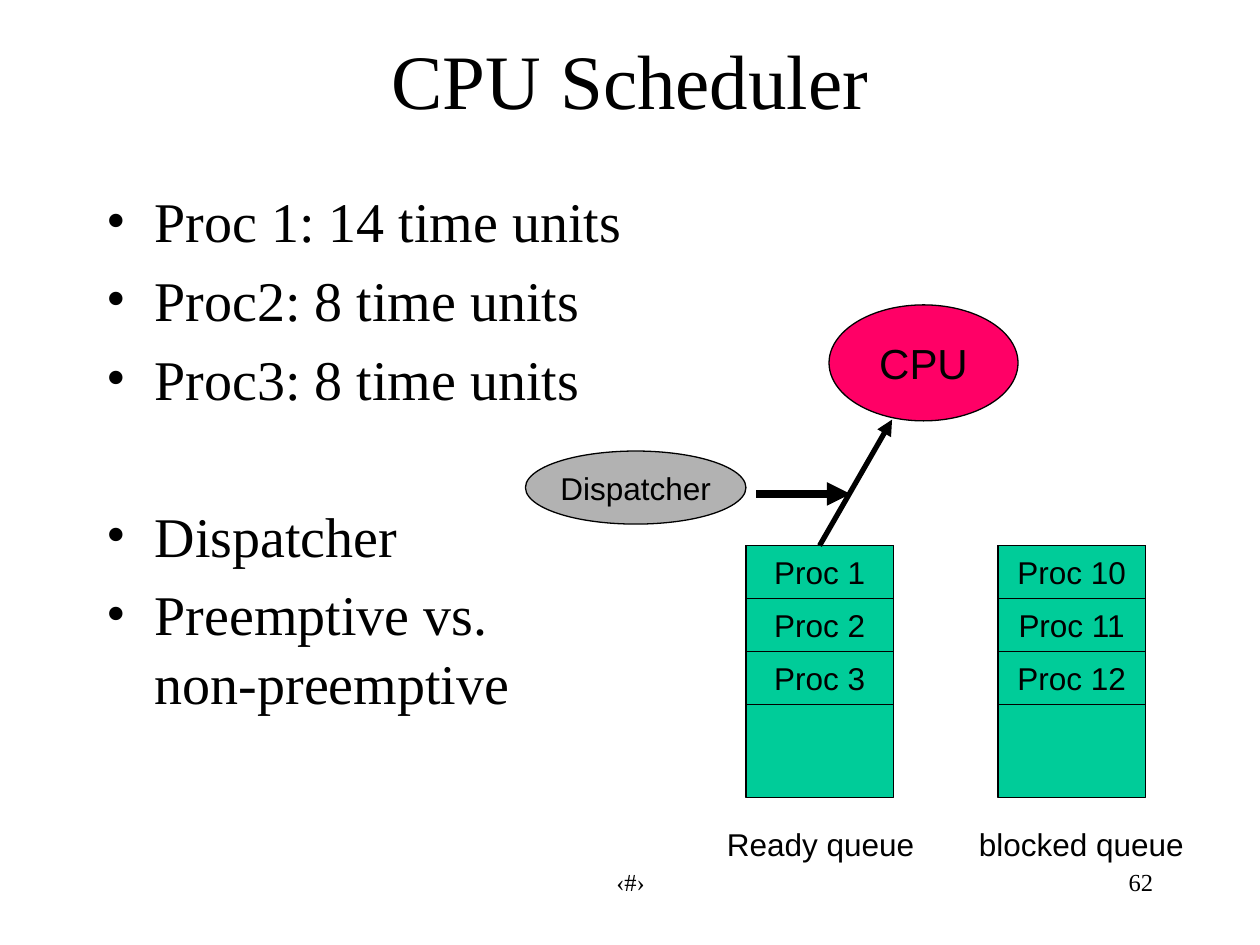
from lxml.etree import SubElement
from pptx import Presentation
from pptx.dml.color import RGBColor
from pptx.enum.shapes import MSO_CONNECTOR, MSO_SHAPE
from pptx.enum.text import MSO_ANCHOR, PP_ALIGN
from pptx.oxml.ns import qn
from pptx.util import Inches, Pt

BLACK = RGBColor(0x00, 0x00, 0x00)
GREEN = RGBColor(0x00, 0xCC, 0x99)
PINK = RGBColor(0xFF, 0x00, 0x66)
GRAY = RGBColor(0xB2, 0xB2, 0xB2)
SERIF = "Times New Roman"
SANS = "Arial"
SLOT_HEIGHT = 0.42


def write_para(para, text, size, font=SANS, align=PP_ALIGN.LEFT):
    """Put formatted text in a paragraph."""
    para.text = text
    para.alignment = align
    for span in para.runs:
        span.font.size = Pt(size)
        span.font.name = font
        span.font.color.rgb = BLACK


def add_text(page, box, text, anchor=MSO_ANCHOR.TOP, wrap=True, **style):
    """Add a one-paragraph text box."""
    frame = page.shapes.add_textbox(*map(Inches, box)).text_frame
    frame.word_wrap = wrap
    frame.vertical_anchor = anchor
    write_para(frame.paragraphs[0], text, **style)


def add_bullets(page, box, items):
    """Add a bulleted list of (text, space before) pairs."""
    frame = page.shapes.add_textbox(*map(Inches, box)).text_frame
    frame.word_wrap = True
    for index, (text, space) in enumerate(items):
        para = frame.add_paragraph() if index else frame.paragraphs[0]
        props = para._p.get_or_add_pPr()
        props.set("marL", str(Inches(0.38)))
        props.set("indent", str(Inches(-0.38)))
        SubElement(props, qn("a:buFont"), typeface=SERIF)
        SubElement(props, qn("a:buChar"), char="•")
        para.line_spacing = Pt(39.4)
        para.space_before = Pt(space)
        write_para(para, text, size=32, font=SERIF)


def add_block(page, kind, box, fill, text="", size=18):
    """Add an outlined shape with an optional centred label."""
    shape = page.shapes.add_shape(kind, *map(Inches, box))
    shape.shadow.inherit = False
    shape.fill.solid()
    shape.fill.fore_color.rgb = fill
    shape.line.color.rgb = BLACK
    shape.line.width = Pt(0.75)
    if text:
        frame = shape.text_frame
        frame.word_wrap = False
        frame.vertical_anchor = MSO_ANCHOR.MIDDLE
        write_para(frame.paragraphs[0], text, size, align=PP_ALIGN.CENTER)
    return shape


def add_queue(page, box, processes, label, label_width):
    """Add a queue with its processes stacked from the top and return the first."""
    left, top, width, height = box
    add_block(page, MSO_SHAPE.RECTANGLE, box, GREEN)
    slots = [
        add_block(page, MSO_SHAPE.RECTANGLE,
                  (left, top + index * SLOT_HEIGHT, width, SLOT_HEIGHT), GREEN, name)
        for index, name in enumerate(processes)
    ]
    add_text(page, (left - 0.25, top + height + 0.17, label_width, 0.4),
             label, wrap=False, size=18)
    return slots[0]


def add_arrow(page, start, end, weight):
    """Add a straight arrow between two points."""
    arrow = page.shapes.add_connector(MSO_CONNECTOR.STRAIGHT, *map(Inches, start + end))
    arrow.line.color.rgb = BLACK
    arrow.line.width = Pt(weight)
    SubElement(arrow.line._get_or_add_ln(), qn("a:tailEnd"), type="triangle")
    SubElement(arrow._element.spPr, qn("a:effectLst"))
    return arrow


def add_diagram(page, box):
    """Add the dispatcher, the processor and the two queues."""
    left, top, width, height = box
    queue_top = top + 1.91
    ready_left = left + 1.75
    first = add_queue(page, (ready_left, queue_top, 1.17, 2),
                      ["Proc 1", "Proc 2", "Proc 3"], "Ready queue", 1.69)
    add_queue(page, (ready_left + 2, queue_top, 1.17, 2),
              ["Proc 10", "Proc 11", "Proc 12"], "blocked queue", 1.83)
    add_block(page, MSO_SHAPE.OVAL, (left + 2.41, top, 1.5, 0.92), PINK, "CPU", 24)
    dispatch = add_arrow(page, (left + 2.33, queue_top), (left + 2.91, top + 0.91), 3)
    dispatch.begin_connect(first, 0)
    add_block(page, MSO_SHAPE.OVAL, (left, top + 1.16, 1.75, 0.58), GRAY, "Dispatcher")
    add_arrow(page, (left + 1.83, top + 1.5), (left + 2.58, top + 1.5), 4.5)


def add_footer(page, box):
    """Add the centred field and the page number."""
    left, top, width, height = box
    add_text(page, (left, top, 3.17, height), "‹#›",
             size=14, font=SERIF, align=PP_ALIGN.CENTER)
    add_text(page, (left + width - 2.08, top, 2.08, height), "62",
             size=14, font=SERIF, align=PP_ALIGN.RIGHT)


def main():
    """Build the slide and save it."""
    deck = Presentation()
    deck.slide_width, deck.slide_height = Inches(10), Inches(7.5)
    page = deck.slides.add_slide(deck.slide_layouts[6])
    add_text(page, (0.75, 0, 8.5, 1.25), "CPU Scheduler", anchor=MSO_ANCHOR.MIDDLE,
             size=44, font=SERIF, align=PP_ALIGN.CENTER)
    add_bullets(page, (0.75, 1.42, 8.5, 5.25), [
        ("Proc 1: 14 time units", 0),
        ("Proc2: 8 time units", 5.5),
        ("Proc3: 8 time units", 5.5),
        ("Dispatcher", 50.4),
        ("Preemptive vs.\nnon-preemptive", 5.5),
    ])
    add_diagram(page, (4.17, 2.42, 5.33, 4.48))
    add_footer(page, (3.42, 6.83, 5.83, 0.5))
    deck.save("out.pptx")


if __name__ == "__main__":
    main()
